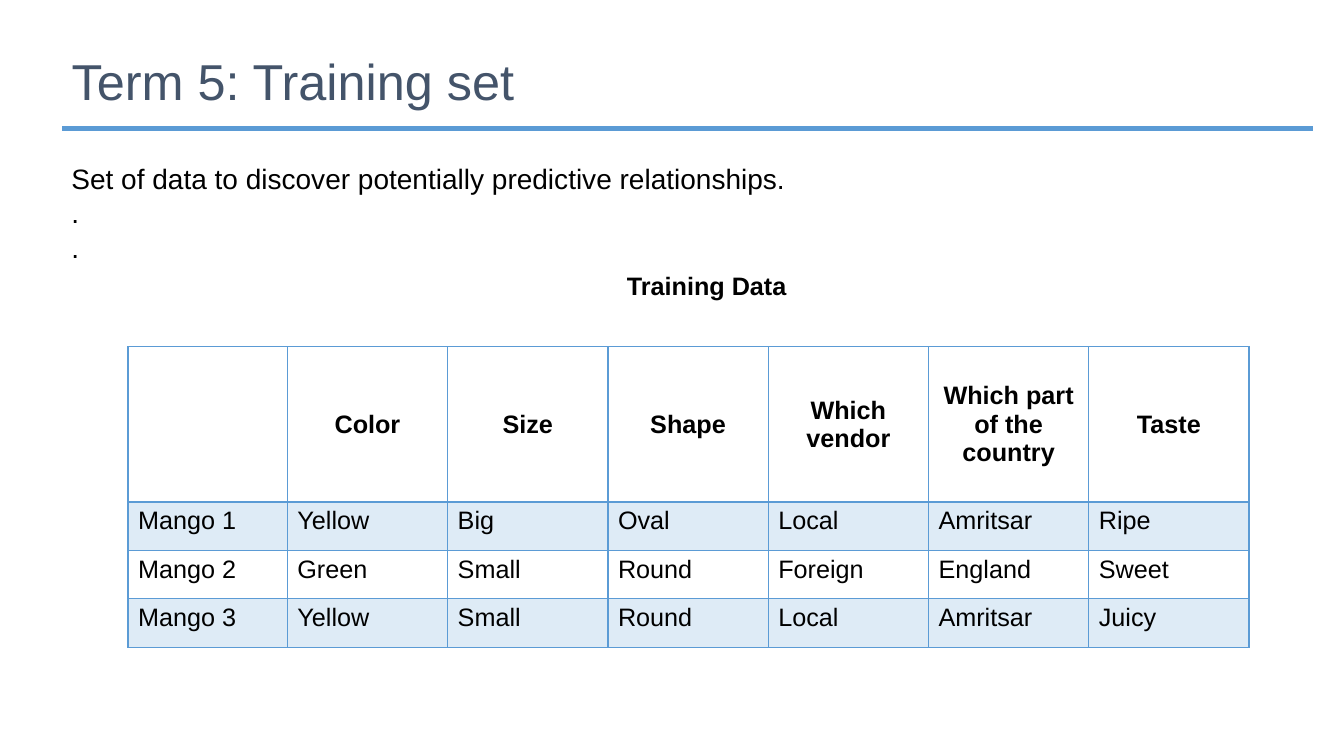
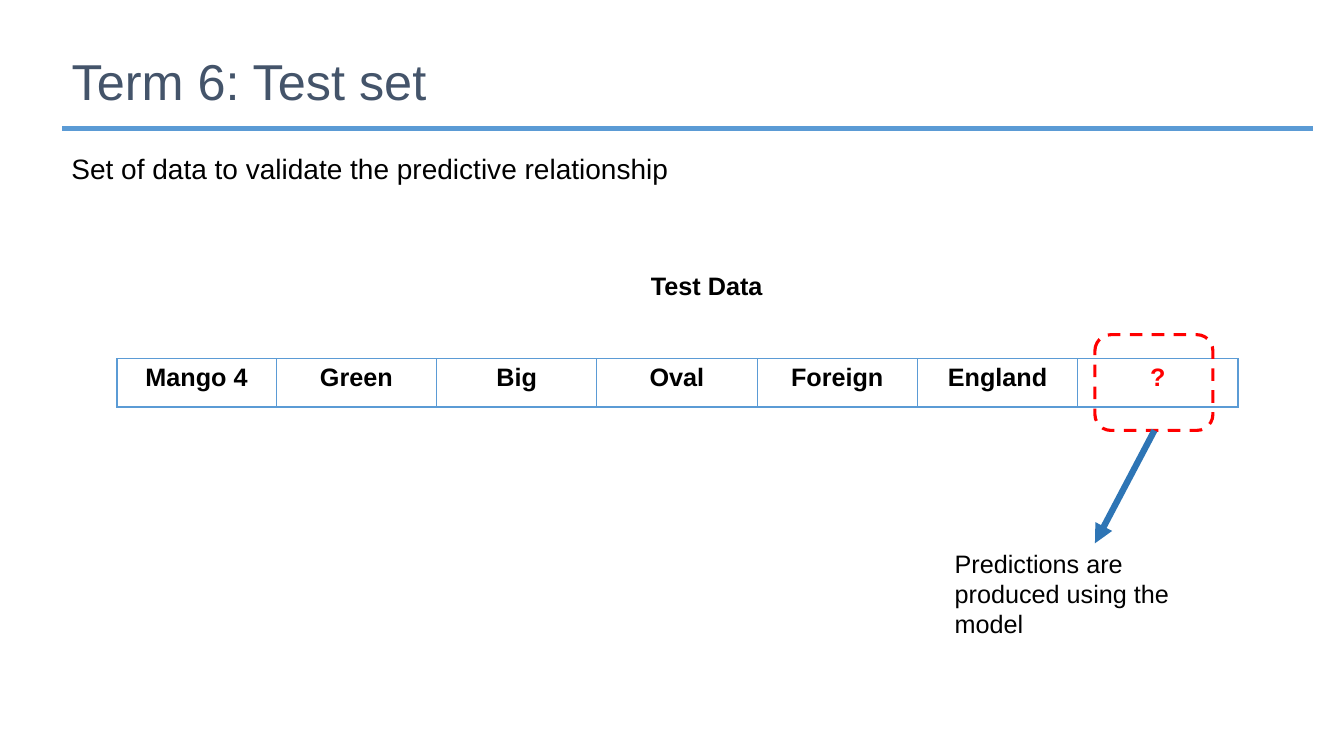
from dataclasses import dataclass

from lxml import etree
from pptx import Presentation
from pptx.dml.color import RGBColor
from pptx.enum.dml import MSO_LINE
from pptx.enum.shapes import MSO_CONNECTOR, MSO_SHAPE
from pptx.enum.text import MSO_ANCHOR, MSO_AUTO_SIZE, PP_ALIGN
from pptx.oxml.ns import qn
from pptx.util import Pt

LEFT, CENTER = PP_ALIGN.LEFT, PP_ALIGN.CENTER
TOP, MIDDLE = MSO_ANCHOR.TOP, MSO_ANCHOR.MIDDLE
NO_AUTOFIT = MSO_AUTO_SIZE.NONE
RECTANGLE, ROUNDED = MSO_SHAPE.RECTANGLE, MSO_SHAPE.ROUNDED_RECTANGLE
STRAIGHT, DASH = MSO_CONNECTOR.STRAIGHT, MSO_LINE.DASH
PX = 9144


@dataclass(frozen=True)
class Theme:
    font: str = "Arial"
    title: RGBColor = RGBColor(0x44, 0x54, 0x6A)
    text: RGBColor = RGBColor(0, 0, 0)
    accent: RGBColor = RGBColor(0x5B, 0x9B, 0xD5)
    arrow: RGBColor = RGBColor(0x2E, 0x75, 0xB5)
    alert: RGBColor = RGBColor(0xFF, 0, 0)
    paper: RGBColor = RGBColor(0xFF, 0xFF, 0xFF)
    title_size: int = 36
    body_size: int = 20
    label_size: int = 18
    band_alpha: int = 20


THEME = Theme()


def write(frame, lines, size=THEME.label_size, color=THEME.text, bold=False,
          align=LEFT, spacing=1.0, gap=0):
    frame.word_wrap = True
    for index, line in enumerate(lines):
        para = frame.paragraphs[0] if index == 0 else frame.add_paragraph()
        para.alignment = align
        para.line_spacing = spacing
        para.space_before = Pt(gap if index else 0)
        span = para.add_run()
        span.text = line
        span.font.color.rgb = color
        values = {"name": THEME.font, "size": Pt(size), "bold": bold}
        for name, value in values.items():
            setattr(span.font, name, value)


def add_grid(page, left, top, rows, heights, header_anchor):
    columns = len(rows[0])
    table = page.shapes.add_table(
        len(rows), columns, left * PX, top * PX, 1110 * PX, sum(heights) * PX).table
    table.first_row = table.horz_banding = False
    for index, column in enumerate(table.columns):
        column.width = (159 if index else 158) * PX
    for row_index, (row, height) in enumerate(zip(rows, heights)):
        table.rows[row_index].height = height * PX
        header = row_index == 0
        for column_index, value in enumerate(row):
            cell = table.cell(row_index, column_index)
            cell.vertical_anchor = header_anchor if header else TOP
            if value:
                write(cell.text_frame, [value], bold=header,
                      color=THEME.alert if value == "?" else THEME.text,
                      align=CENTER if header else LEFT)
            if row_index % 2:
                cell.fill.solid()
                cell.fill.fore_color.rgb = THEME.accent
            else:
                cell.fill.background()
            properties = cell._tc.get_or_add_tcPr()
            for tint in properties.iter(qn("a:srgbClr")):
                etree.SubElement(tint, qn("a:alpha"), val=str(THEME.band_alpha * 1000))
            for place, side in enumerate(("lnL", "lnR", "lnT", "lnB")):
                width = 2 if header and side == "lnB" else 1
                edge = etree.Element(qn("a:" + side), w=str(Pt(width)))
                paint = etree.SubElement(edge, qn("a:solidFill"))
                etree.SubElement(paint, qn("a:srgbClr"), val=str(THEME.accent))
                properties.insert(place, edge)


deck = Presentation()
deck.slide_width, deck.slide_height = 1333 * PX, 750 * PX

topics = [
    ("Term 5: Training set", 159, 111,
     ["Set of data to discover potentially predictive relationships.", ".", "."],
     "Training Data"),
    ("Term 6: Test set", 149, 40,
     ["Set of data to validate the predictive relationship"],
     "Test Data"),
]
pages = []
for heading, body_top, body_height, body, caption in topics:
    page = deck.slides.add_slide(deck.slide_layouts[5])
    pages.append(page)

    bar = page.shapes.add_shape(RECTANGLE, 61 * PX, 124 * PX, 1242 * PX, 7 * PX)
    bar.shadow.inherit = False
    bar.fill.solid()
    bar.fill.fore_color.rgb = THEME.accent
    bar.line.color.rgb = THEME.paper
    bar.line.width = Pt(1)

    title = page.shapes.title
    title.left, title.top, title.width, title.height = (
        value * PX for value in (61, 30, 1100, 159))
    frame = title.text_frame
    frame.auto_size = NO_AUTOFIT
    frame.vertical_anchor = MIDDLE
    frame.margin_bottom = 57 * PX
    write(frame, [heading], size=THEME.title_size, color=THEME.title, spacing=0.9)

    box = page.shapes.add_textbox(61 * PX, body_top * PX, 1220 * PX, body_height * PX)
    write(box.text_frame, body, size=THEME.body_size, spacing=0.9, gap=3)

    box = page.shapes.add_textbox(551 * PX, 263 * PX, 300 * PX, 40 * PX)
    write(box.text_frame, [caption], bold=True, align=CENTER)

training_page, test_page = pages

training_rows = [
    ["", "Color", "Size", "Shape", "Which vendor", "Which part of the country", "Taste"],
    ["Mango 1", "Yellow", "Big", "Oval", "Local", "Amritsar", "Ripe"],
    ["Mango 2", "Green", "Small", "Round", "Foreign", "England", "Sweet"],
    ["Mango 3", "Yellow", "Small", "Round", "Local", "Amritsar", "Juicy"],
]
add_grid(training_page, 127, 344, training_rows, [154, 48, 48, 48], MIDDLE)

test_rows = [["Mango 4", "Green", "Big", "Oval", "Foreign", "England", "?"]]
add_grid(test_page, 116, 356, test_rows, [48], TOP)

marker = test_page.shapes.add_shape(ROUNDED, 1086 * PX, 332 * PX, 117 * PX, 95 * PX)
marker.shadow.inherit = False
marker.fill.background()
marker.line.color.rgb = THEME.alert
marker.line.width = Pt(2.25)
marker.line.dash_style = DASH

arrow = test_page.shapes.add_connector(
    STRAIGHT, 1145 * PX, 427 * PX, 1086 * PX, 539 * PX)
arrow.line.color.rgb = THEME.arrow
arrow.line.width = Pt(4.5)
etree.SubElement(arrow.line._get_or_add_ln(), qn("a:tailEnd"), type="triangle")
etree.SubElement(arrow._element.spPr, qn("a:effectLst"))

note = test_page.shapes.add_textbox(937 * PX, 539 * PX, 289 * PX, 101 * PX)
write(note.text_frame, ["Predictions are produced using the model"])

deck.save("out.pptx")
